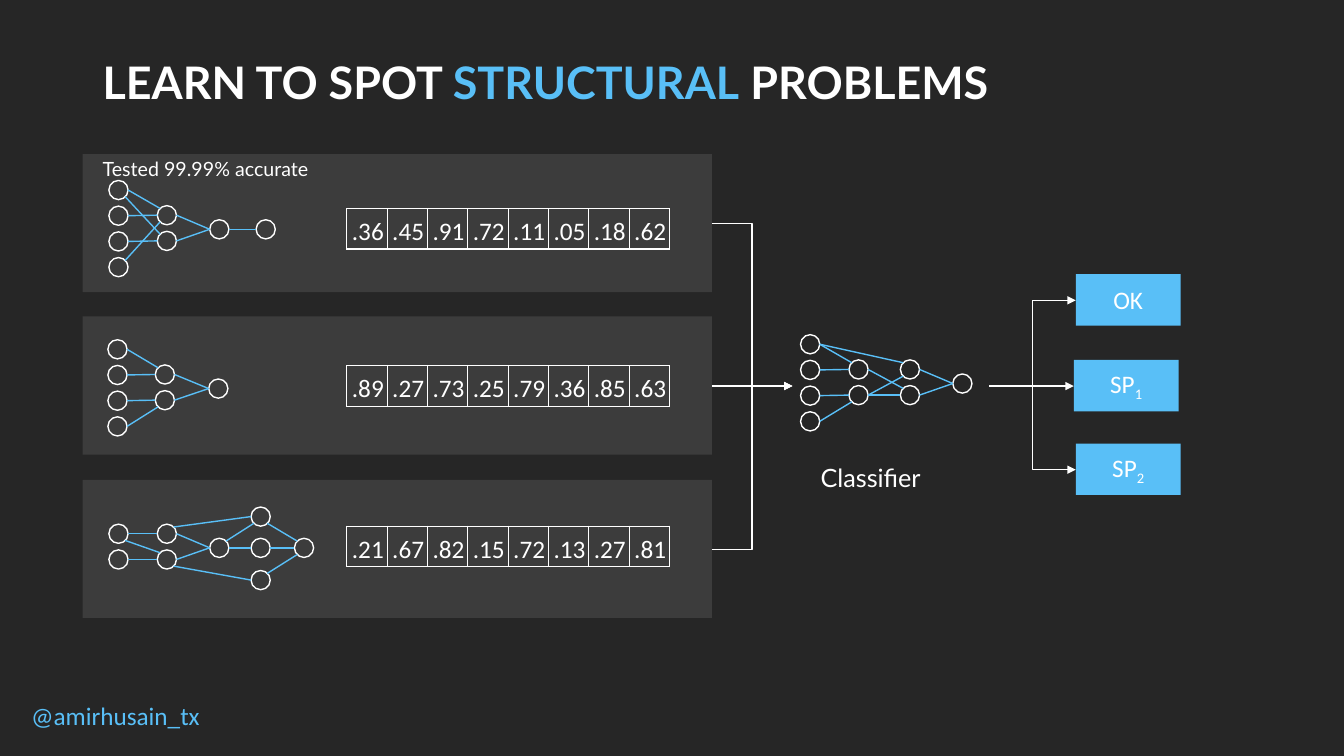
from dataclasses import dataclass
from typing import Optional

import pptx
import pptx.dml.color
import pptx.enum.shapes
import pptx.enum.text
import pptx.oxml
import pptx.oxml.ns
import pptx.oxml.xmlchemy
import pptx.util
from pptx.util import Inches

WHITE, BLUE, DARK = "FFFFFF", "59BFF7", "262626"
NODE_SIZE = 0.19
NODE_STEP = 0.255
CELL_SIZE = 0.4
FLOW_Y = 3.83
Shape = pptx.enum.shapes.MSO_SHAPE
Connector = pptx.enum.shapes.MSO_CONNECTOR
Align = pptx.enum.text.PP_ALIGN
Anchor = pptx.enum.text.MSO_ANCHOR

# Points on a node's rim, as fractions of its size
SITES = {"E": (1, 0.5), "W": (0, 0.5), "NE": (0.85, 0.15), "NW": (0.15, 0.15),
         "SE": (0.85, 0.85), "SW": (0.15, 0.85)}


@dataclass
class Span:
    text: str
    color: str = WHITE
    baseline: int = 0


@dataclass
class Network:
    """Node corners, and links written as 'node site node site'."""
    nodes: list[tuple[float, float]]
    links: list[str]


@dataclass
class Detector:
    panel_top: float
    values_top: float
    values: str
    network: Network


@dataclass
class Outcome:
    left: float
    top: float
    label: str
    index: str = ""


def column(left: float, top: float, count: int) -> list[tuple[float, float]]:
    return [(left, top + row * NODE_STEP) for row in range(count)]


DETECTORS = [
    Detector(1.53, 2.07, ".36 .45 .91 .72 .11 .05 .18 .62", Network(
        column(1.08, 1.79, 4) + column(1.56, 2.04, 2) + [(2.08, 2.18), (2.54, 2.18)],
        ["0 E 4 NW", "0 SE 5 NW", "1 E 4 W", "2 E 5 W", "3 NE 4 SW",
         "4 E 6 W", "5 E 6 W", "6 E 7 W"])),
    Detector(3.14, 3.63, ".89 .27 .73 .25 .79 .36 .85 .63", Network(
        column(1.07, 3.37, 4) + column(1.54, 3.62, 2) + [(2.07, 3.76)],
        ["0 E 4 NW", "1 E 4 W", "2 E 5 W", "3 E 5 SW", "4 E 6 W", "5 E 6 W"])),
    Detector(4.76, 5.22, ".21 .67 .82 .15 .72 .13 .27 .81", Network(
        column(1.08, 5.2, 2) + column(1.56, 5.2, 2)
        + [(2.08, 5.34), (2.49, 5.03), (2.49, 5.34), (2.49, 5.66), (2.92, 5.34)],
        ["0 E 2 W", "1 E 3 W", "0 SE 3 NW", "2 E 4 W", "3 E 4 W", "2 NE 5 W",
         "4 NE 5 SW", "3 SE 7 W", "4 E 6 W", "6 E 8 W", "7 NE 8 SW", "5 SE 8 NW"])),
]
CLASSIFIER = Network(
    column(7.94, 3.32, 4) + column(8.42, 3.57, 2) + column(8.93, 3.57, 2) + [(9.45, 3.71)],
    ["0 E 4 NW", "0 E 6 NW", "1 E 4 W", "2 E 5 W", "3 E 5 SW", "4 E 7 NW",
     "5 E 6 SW", "5 E 7 W", "6 E 8 W", "7 E 8 W"])
OUTCOMES = [Outcome(10.65, 3.57, "SP", "1"), Outcome(10.67, 2.72, "OK"),
            Outcome(10.67, 4.4, "SP", "2")]


def rgb(color: str) -> pptx.dml.color.RGBColor:
    return pptx.dml.color.RGBColor.from_string(color)


def write(frame, spans: list[Span], size: float, font: str, bold: bool = False):
    para = frame.paragraphs[0]
    for span in spans:
        run = para.add_run()
        run.text = span.text
        run.font.size = pptx.util.Pt(size)
        run.font.name = font
        run.font.bold = bold
        run.font.color.rgb = rgb(span.color)
        if span.baseline:
            run.font._element.set("baseline", str(span.baseline))
    return para


def add_text(page, left: float, top: float, width: float, height: float,
             spans: list[Span], size: float, font: str, bold: bool = False):
    box = page.shapes.add_textbox(Inches(left), Inches(top), Inches(width), Inches(height))
    box.text_frame.word_wrap = True
    box.text_frame.vertical_anchor = Anchor.MIDDLE
    return write(box.text_frame, spans, size, font, bold)


def add_box(shapes, kind, left: float, top: float, width: float, height: float,
            fill: Optional[str] = None, line: Optional[str] = None):
    box = shapes.add_shape(kind, Inches(left), Inches(top), Inches(width), Inches(height))
    box.shadow.inherit = False
    if fill:
        box.fill.solid()
        box.fill.fore_color.rgb = rgb(fill)
    else:
        box.fill.background()
    if line:
        box.line.color.rgb = rgb(line)
        box.line.width = pptx.util.Pt(1)
    else:
        box.line.fill.background()
    return box


def add_line(shapes, kind, start: tuple[float, float], end: tuple[float, float],
             color: str, arrow: bool = False) -> None:
    line = shapes.add_connector(kind, *map(Inches, start + end))
    line.line.color.rgb = rgb(color)
    line.line.width = pptx.util.Pt(1)
    if arrow:
        head = pptx.oxml.xmlchemy.OxmlElement("a:tailEnd")
        head.set("type", "triangle")
        line.line._get_or_add_ln().append(head)
    line._element.spPr.append(pptx.oxml.xmlchemy.OxmlElement("a:effectLst"))


def add_network(page, network: Network) -> None:
    group = page.shapes.add_group_shape()

    def rim(node: str, site: str) -> tuple[float, float]:
        left, top = network.nodes[int(node)]
        across, down = SITES[site]
        return left + across * NODE_SIZE, top + down * NODE_SIZE

    for left, top in network.nodes:
        add_box(group.shapes, Shape.OVAL, left, top, NODE_SIZE, NODE_SIZE, line=WHITE)
    for link in network.links:
        first, first_site, second, second_site = link.split()
        add_line(group.shapes, Connector.STRAIGHT, rim(first, first_site),
                 rim(second, second_site), BLUE)


def add_values(page, top: float, values: list[str]) -> None:
    table = page.shapes.add_table(1, len(values), Inches(3.44), Inches(top),
                                  Inches(CELL_SIZE * len(values)), Inches(CELL_SIZE)).table
    table.first_row = table.horz_banding = False
    for cell, value in zip(table.iter_cells(), values):
        cell.margin_left, cell.margin_top = Inches(0.05), Inches(0.08)
        cell.margin_right = cell.margin_bottom = 0
        write(cell.text_frame, [Span(value)], 18, "Calibri")
        for side in "LRTB":
            cell._tc.get_or_add_tcPr().append(pptx.oxml.parse_xml(
                f'<a:ln{side} {pptx.oxml.ns.nsdecls("a")} w="12700"><a:solidFill>'
                f'<a:srgbClr val="{WHITE}"/></a:solidFill></a:ln{side}>'))
        cell.fill.background()


def add_detector(page, detector: Detector) -> None:
    panel = add_box(page.shapes, Shape.RECTANGLE, 0.82, detector.panel_top, 6.24, 1.37, WHITE)
    alpha = pptx.oxml.xmlchemy.OxmlElement("a:alpha")
    alpha.set("val", "10000")
    panel._element.spPr.find(".//" + pptx.oxml.ns.qn("a:srgbClr")).append(alpha)
    add_network(page, detector.network)
    add_values(page, detector.values_top, detector.values.split())
    add_line(page.shapes, Connector.ELBOW, (7.06, detector.panel_top + 0.69),
             (7.86, FLOW_Y), WHITE, arrow=True)


def add_outcome(page, outcome: Outcome) -> None:
    box = add_box(page.shapes, Shape.ROUNDED_RECTANGLE, outcome.left, outcome.top,
                  1.04, 0.51, BLUE)
    box.adjustments[0] = 0
    box.text_frame.vertical_anchor = Anchor.MIDDLE
    spans = [Span(outcome.label)]
    if outcome.index:
        spans.append(Span(outcome.index, baseline=-25000))
    write(box.text_frame, spans, 18, "Calibri").alignment = Align.CENTER
    add_line(page.shapes, Connector.ELBOW, (9.81, FLOW_Y),
             (outcome.left, outcome.top + 0.26), WHITE, arrow=True)


def main() -> None:
    deck = pptx.Presentation()
    deck.slide_width, deck.slide_height = Inches(13.33), Inches(7.5)
    page = deck.slides.add_slide(deck.slide_layouts[6])
    page.background.fill.solid()
    page.background.fill.fore_color.rgb = rgb(DARK)

    title = [Span("LEARN TO SPOT "), Span("STRUCTURAL", BLUE), Span(" PROBLEMS")]
    add_text(page, 0.92, 0.4, 11.5, 0.88, title, 32, "Lato", bold=True).line_spacing = 0.9
    for detector in DETECTORS:
        add_detector(page, detector)
    add_text(page, 0.92, 1.5, 3.9, 0.34, [Span("Tested 99.99% accurate")], 14, "Lato")
    add_network(page, CLASSIFIER)
    add_text(page, 8.04, 4.54, 1.32, 0.4, [Span("Classifier")], 18, "Lato")
    for outcome in OUTCOMES:
        add_outcome(page, outcome)
    add_text(page, 0.21, 6.9, 2.31, 0.4, [Span("@amirhusain_tx", BLUE)], 18, "Calibri")
    deck.save("out.pptx")


if __name__ == "__main__":
    main()
